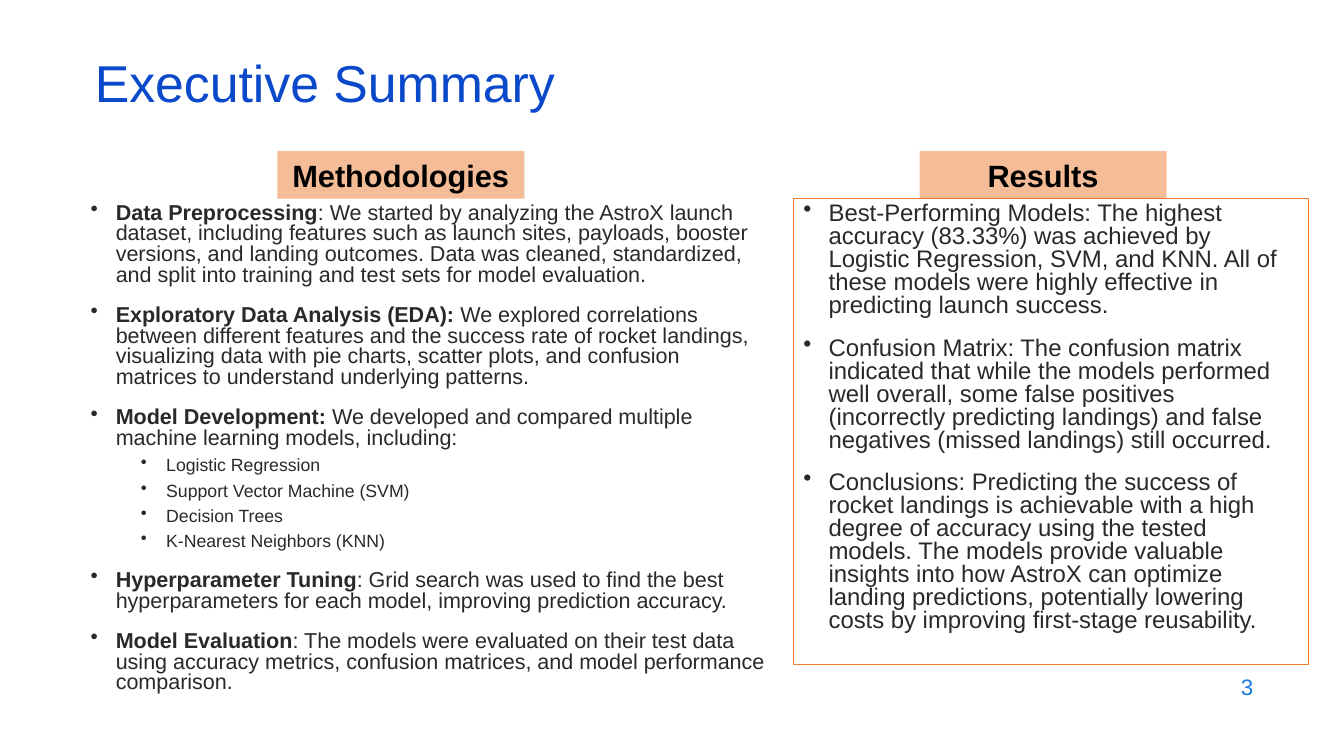
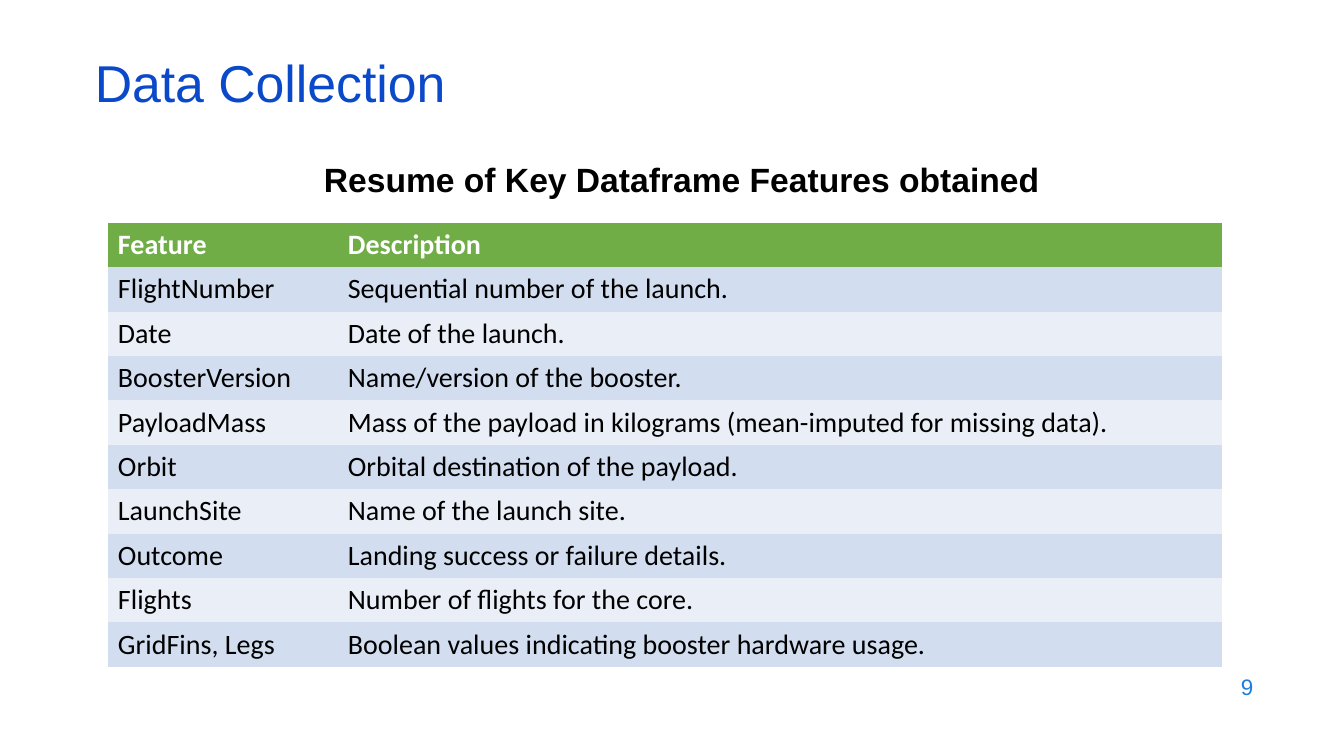
from lxml.etree import SubElement
from pptx import Presentation
from pptx.dml.color import RGBColor
from pptx.enum.shapes import MSO_SHAPE as SHAPE
from pptx.enum.text import MSO_ANCHOR as ANCHOR, MSO_AUTO_SIZE as AUTO, PP_ALIGN as ALIGN
from pptx.oxml.ns import qn
from pptx.util import Inches, Pt

BLUE, NUMBER_BLUE = "0B49CB", "1C7DDB"
ORANGE, GREEN = "ED7D31", "70AD47"
BANDS = ("EAEFF7", "D2DEEF")
INK, BLACK, WHITE = "292929", "000000", "FFFFFF"
PLAIN_TABLE_STYLE = "{2D5ABB26-0587-4C30-8999-92F81FD0307C}"
ROW_HEIGHT = 0.44

# (level, bold lead, text)
METHODS = [
    (0, "Data Preprocessing", ": We started by analyzing the AstroX launch dataset, including "
     "features such as launch sites, payloads, booster versions, and landing outcomes. Data was "
     "cleaned, standardized, and split into training and test sets for model evaluation."),
    (0, "Exploratory Data Analysis (EDA): ", "We explored correlations between different features "
     "and the success rate of rocket landings, visualizing data with pie charts, scatter plots, "
     "and confusion matrices to understand underlying patterns."),
    (0, "Model Development:", " We developed and compared multiple machine learning models, "
     "including:"),
    (1, "", "Logistic Regression"),
    (1, "", "Support Vector Machine (SVM)"),
    (1, "", "Decision Trees"),
    (1, "", "K-Nearest Neighbors (KNN)"),
    (0, "Hyperparameter Tuning", ": Grid search was used to find the best hyperparameters for "
     "each model, improving prediction accuracy."),
    (0, "Model Evaluation", ": The models were evaluated on their test data using accuracy "
     "metrics, confusion matrices, and model performance comparison."),
]
RESULTS = [
    (0, "", "Best-Performing Models: The highest accuracy (83.33%) was achieved by Logistic "
     "Regression, SVM, and KNN. All of these models were highly effective in predicting launch "
     "success."),
    (0, "", "Confusion Matrix: The confusion matrix indicated that while the models performed "
     "well overall, some false positives (incorrectly predicting landings) and false negatives "
     "(missed landings) still occurred."),
    (0, "", "Conclusions: Predicting the success of rocket landings is achievable with a high "
     "degree of accuracy using the tested models. The models provide valuable insights into how "
     "AstroX can optimize landing predictions, potentially lowering costs by improving "
     "first-stage reusability."),
]
FEATURES = [
    ("Feature", "Description"),
    ("FlightNumber", "Sequential number of the launch."),
    ("Date", "Date of the launch."),
    ("BoosterVersion", "Name/version of the booster."),
    ("PayloadMass", "Mass of the payload in kilograms (mean-imputed for missing data)."),
    ("Orbit", "Orbital destination of the payload."),
    ("LaunchSite", "Name of the launch site."),
    ("Outcome", "Landing success or failure details."),
    ("Flights", "Number of flights for the core."),
    ("GridFins, Legs", "Boolean values indicating booster hardware usage."),
]


def rgb(color):
    return RGBColor.from_string(color)


def box(*lengths):
    return [Inches(length) for length in lengths]


def style(r, size, color, bold=False, font="Arial"):
    r.font.name = font
    r.font.size = Pt(size)
    r.font.bold = bold
    r.font.color.rgb = rgb(color)


def set_line(tf, text, size, color, bold=False, align=ALIGN.LEFT, anchor=ANCHOR.MIDDLE):
    """Fill a text frame with one styled paragraph."""
    tf.word_wrap = True
    tf.auto_size = AUTO.NONE
    tf.vertical_anchor = anchor
    tf.text = text
    p = tf.paragraphs[0]
    p.alignment = align
    style(p.runs[0], size, color, bold)
    return p


def add_line(s, at, *args, **kwargs):
    return set_line(s.shapes.add_textbox(*box(*at)).text_frame, *args, **kwargs)


def add_slide(prs, title, number):
    s = prs.slides.add_slide(prs.slide_layouts[5])
    sp = s.shapes.title
    sp.left, sp.top, sp.width, sp.height = box(0.84, 0.59, 11.5, 0.6)
    set_line(sp.text_frame, title, 37, BLUE).line_spacing = 0.7
    add_line(s, (9.53, 6.59, 3, 0.44), str(number), 16, NUMBER_BLUE, align=ALIGN.RIGHT)
    return s


def add_rect(s, at):
    sp = s.shapes.add_shape(SHAPE.RECTANGLE, *box(*at))
    sp.shadow.inherit = False
    return sp


def add_heading(s, left, text):
    sp = add_rect(s, (left, 1.5, 2.45, 0.47))
    sp.fill.solid()
    sp.fill.fore_color.rgb = rgb(ORANGE)
    color = sp.fill._xPr.find(qn("a:solidFill"))[0]
    SubElement(color, qn("a:alpha")).set("val", "50000")
    sp.line.fill.background()
    set_line(sp.text_frame, text, 22, BLACK, bold=True, align=ALIGN.CENTER)


def add_bullets(tf, items, sizes):
    """Write (level, lead, text) items; sizes holds a text size for each level."""
    tf.word_wrap = True
    tf.vertical_anchor = ANCHOR.TOP
    for i, (level, lead, text) in enumerate(items):
        p = tf.add_paragraph() if i else tf.paragraphs[0]
        pPr = p._p.get_or_add_pPr()
        pPr.set("marL", str(Inches(0.25 + 0.5 * level)))
        pPr.set("indent", str(Inches(-0.25)))
        SubElement(pPr, qn("a:buChar")).set("char", "•")
        p.level = level
        p.alignment = ALIGN.LEFT
        p.line_spacing = 0.8
        if i:
            p.space_before = Pt(6 if level else 14)
        for part, bold in ((lead, True), (text, False)):
            if part:
                r = p.add_run()
                r.text = part
                style(r, sizes[level], INK, bold)


def add_feature_table(s, rows, widths):
    at = box(1.07, 2.21, sum(widths), ROW_HEIGHT * len(rows))
    table = s.shapes.add_table(len(rows), len(widths), *at).table
    table._tbl.tblPr.find(qn("a:tableStyleId")).text = PLAIN_TABLE_STYLE
    table.horz_banding = False
    for column, width in zip(table.columns, widths):
        column.width = Inches(width)
    for i, row in enumerate(rows):
        header = i == 0
        for j, text in enumerate(row):
            cell = table.cell(i, j)
            cell.fill.solid()
            cell.fill.fore_color.rgb = rgb(GREEN if header else BANDS[i % 2])
            cell.vertical_anchor = ANCHOR.MIDDLE
            cell.text = text
            r = cell.text_frame.paragraphs[0].runs[0]
            style(r, 20, WHITE if header else BLACK, header, "Calibri")


def build_summary(prs):
    s = add_slide(prs, "Executive Summary", 3)
    add_heading(s, 2.75, "Methodologies")
    methods = s.shapes.add_textbox(*box(0.8, 1.97, 6.89, 5.06))
    add_bullets(methods.text_frame, METHODS, (15.4, 12.6))

    add_heading(s, 9.12, "Results")
    results = add_rect(s, (7.87, 1.97, 5.11, 4.62))
    results.fill.background()
    results.line.color.rgb = rgb(ORANGE)
    results.line.width = Pt(0.75)
    results.text_frame.margin_right = Inches(0.26)
    add_bullets(results.text_frame, RESULTS, (17.1,))


def build_data_collection(prs):
    s = add_slide(prs, "Data Collection", 9)
    add_line(s, (2.94, 1.53, 7.64, 0.51), "Resume of Key Dataframe Features obtained", 24, BLACK,
             bold=True, align=ALIGN.CENTER, anchor=ANCHOR.TOP)
    add_feature_table(s, FEATURES, (2.28, 8.77))


def main():
    prs = Presentation()
    prs.slide_width, prs.slide_height = box(13.33, 7.5)
    build_summary(prs)
    build_data_collection(prs)
    prs.save("out.pptx")


if __name__ == "__main__":
    main()
